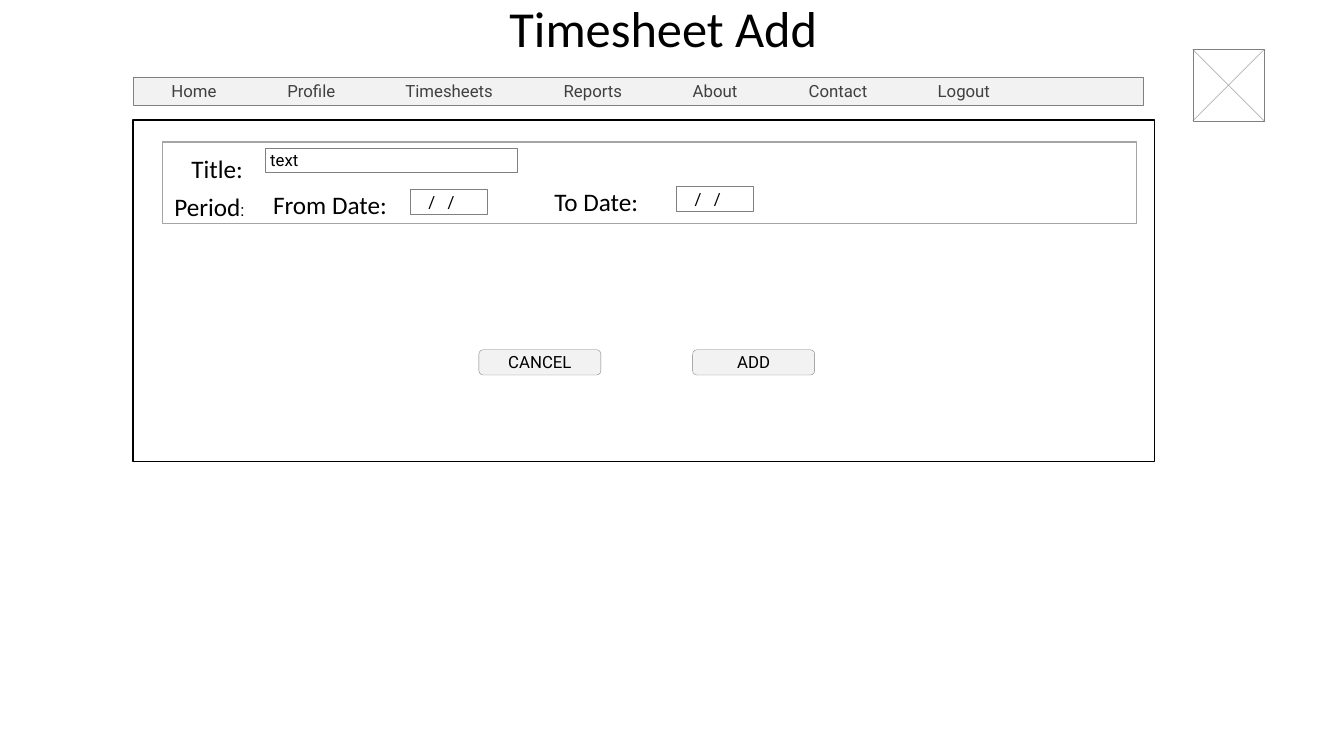
from dataclasses import dataclass
from typing import Any, Optional

import pptx
import pptx.dml.color
import pptx.enum.shapes
import pptx.enum.text
import pptx.oxml
import pptx.oxml.ns
import pptx.util

Inches = pptx.util.Inches
Shape = pptx.enum.shapes.MSO_SHAPE
Align = pptx.enum.text.PP_ALIGN
Anchor = pptx.enum.text.MSO_ANCHOR
AutoSize = pptx.enum.text.MSO_AUTO_SIZE
Frame = tuple[float, float, float, float]

BLACK, GREY, PALE, WHITE = "000000", "808080", "F2F2F2", "FFFFFF"
DATE_SLASHES = "\t/\t/"
DATE_STOPS = (0.13, 0.32)


@dataclass
class Box:
    frame: Frame
    fill: Optional[str] = WHITE
    line: str = GREY
    width: float = 0.25
    preset: Any = Shape.RECTANGLE
    text: str = ""
    color: str = BLACK
    align: Any = Align.LEFT
    insets: Frame = (0.05, 0, 0, 0)
    stops: tuple[float, ...] = ()


@dataclass
class Label:
    frame: Frame
    runs: tuple[tuple[str, str, float], ...]
    insets: Frame = (0.1, 0.05, 0.1, 0.05)
    anchor: Any = Anchor.TOP


def color(hex_value: str) -> pptx.dml.color.RGBColor:
    return pptx.dml.color.RGBColor.from_string(hex_value)


def apply(target: Any, formats: dict[str, Any]) -> None:
    for attribute, value in formats.items():
        setattr(target, attribute, value)


def set_frame(text_frame: Any, insets: Frame, **formats: Any) -> None:
    sides = ("margin_left", "margin_top", "margin_right", "margin_bottom")
    apply(text_frame, dict(zip(sides, map(Inches, insets))) | formats)


def add_run(paragraph: Any, text: str, font: str, size: float, hex_value: str = BLACK) -> None:
    run = paragraph.add_run()
    run.text = text
    apply(run.font, {"name": font, "size": pptx.util.Pt(size)})
    run.font.color.rgb = color(hex_value)


def add_stops(paragraph: Any, stops: tuple[float, ...]) -> None:
    tab_list = pptx.oxml.parse_xml(f'<a:tabLst {pptx.oxml.ns.nsdecls("a")}/>')
    for stop in stops:
        tab = tab_list.makeelement(pptx.oxml.ns.qn("a:tab"), {"pos": str(Inches(stop)), "algn": "l"})
        tab_list.append(tab)
    paragraph._p.get_or_add_pPr().append(tab_list)


def style_line(line: Any, hex_value: str, width: float) -> None:
    line.color.rgb = color(hex_value)
    line.width = pptx.util.Pt(width)


def draw_box(shapes: Any, box: Box) -> None:
    shape = shapes.add_shape(box.preset, *map(Inches, box.frame))
    shape.shadow.inherit = False
    if box.fill:
        shape.fill.solid()
        shape.fill.fore_color.rgb = color(box.fill)
    else:
        shape.fill.background()
    style_line(shape.line, box.line, box.width)
    if box.text:
        set_frame(shape.text_frame, box.insets, vertical_anchor=Anchor.MIDDLE, word_wrap=True)
        paragraph = shape.text_frame.paragraphs[0]
        paragraph.alignment = box.align
        if box.stops:
            add_stops(paragraph, box.stops)
        add_run(paragraph, box.text, "Roboto", 12, box.color)


def draw_label(shapes: Any, label: Label) -> None:
    text_frame = shapes.add_textbox(*map(Inches, label.frame)).text_frame
    set_frame(text_frame, label.insets, vertical_anchor=label.anchor, word_wrap=True,
              auto_size=AutoSize.SHAPE_TO_FIT_TEXT)
    for run in label.runs:
        add_run(text_frame.paragraphs[0], *run)


def draw_image_slot(shapes: Any, left: float, top: float, size: float) -> None:
    slot = shapes.add_group_shape().shapes
    draw_box(slot, Box((left, top, size, size)))
    for start, end in ((top, top + size), (top + size, top)):
        diagonal = slot.add_connector(pptx.enum.shapes.MSO_CONNECTOR.STRAIGHT,
                                      *map(Inches, (left, start, left + size, end)))
        style_line(diagonal.line, GREY, 0.25)
        effects = pptx.oxml.parse_xml(f'<a:effectLst {pptx.oxml.ns.nsdecls("a")}/>')
        diagonal._element.spPr.append(effects)


def draw_title(title: Any) -> None:
    apply(title, dict(zip(("left", "top", "width", "height"), map(Inches, (4.94, -0.08, 3.28, 0.71)))))
    set_frame(title.text_frame, (0.1, 0.05, 0.1, 0.05), vertical_anchor=Anchor.TOP,
              word_wrap=False, auto_size=AutoSize.SHAPE_TO_FIT_TEXT)
    heading = title.text_frame.paragraphs[0]
    heading.alignment = Align.CENTER
    add_run(heading, "Timesheet Add", "Calibri", 36)


def button(left: float, text: str) -> Box:
    return Box((left, 3.47, 1.21, 0.25), PALE, preset=Shape.ROUNDED_RECTANGLE, text=text,
               align=Align.CENTER, insets=(0.1, 0, 0.1, 0.01))


def date_field(left: float, top: float) -> Box:
    return Box((left, top, 0.76, 0.25), text=DATE_SLASHES, stops=DATE_STOPS)


MENU = {"Home": 0.33, "Profile": 1.48, "Timesheets": 2.65, "Reports": 4.22,
        "About": 5.5, "Contact": 6.65, "Logout": 7.93}

BOXES = (
    Box((1.32, 1.19, 10.13, 3.39), line=BLACK, width=1),
    button(6.87, "ADD"),
    button(4.75, "CANCEL"),
    Box((1.32, 0.77, 10.02, 0.27), PALE, text="".join("\t" + item for item in MENU),
        color="404040", insets=(0.05, 0.05, 0.1, 0.05), stops=tuple(MENU.values())),
    Box((1.61, 1.41, 9.66, 0.81), None, "A5A5A5", 1),
    Box((2.63, 1.47, 2.5, 0.24), text="text", insets=(0.05, 0.02, 0.05, 0.02)),
    date_field(4.07, 1.88),
    date_field(6.71, 1.85),
)

LABELS = (
    Label((1.63, 1.88, 1.05, 0.35), (("Period", "Calibri", 18), (":", "Roboto", 12)),
          (0.1, 0.02, 0.1, 0.03), Anchor.MIDDLE),
    Label((2.61, 1.83, 1.34, 0.4), (("From Date:", "Calibri", 18),)),
    Label((1.8, 1.47, 0.83, 0.4), (("Title:", "Calibri", 18),)),
    Label((5.4, 1.8, 1.26, 0.4), (("To Date:", "Calibri", 18),)),
)


def main() -> None:
    presentation = pptx.Presentation()
    apply(presentation, {"slide_width": Inches(13.33), "slide_height": Inches(7.5)})
    slide = presentation.slides.add_slide(presentation.slide_layouts[5])
    draw_title(slide.shapes.title)
    for box in BOXES:
        draw_box(slide.shapes, box)
    for label in LABELS:
        draw_label(slide.shapes, label)
    draw_image_slot(slide.shapes, 11.83, 0.49, 0.71)
    presentation.save("out.pptx")


if __name__ == "__main__":
    main()
